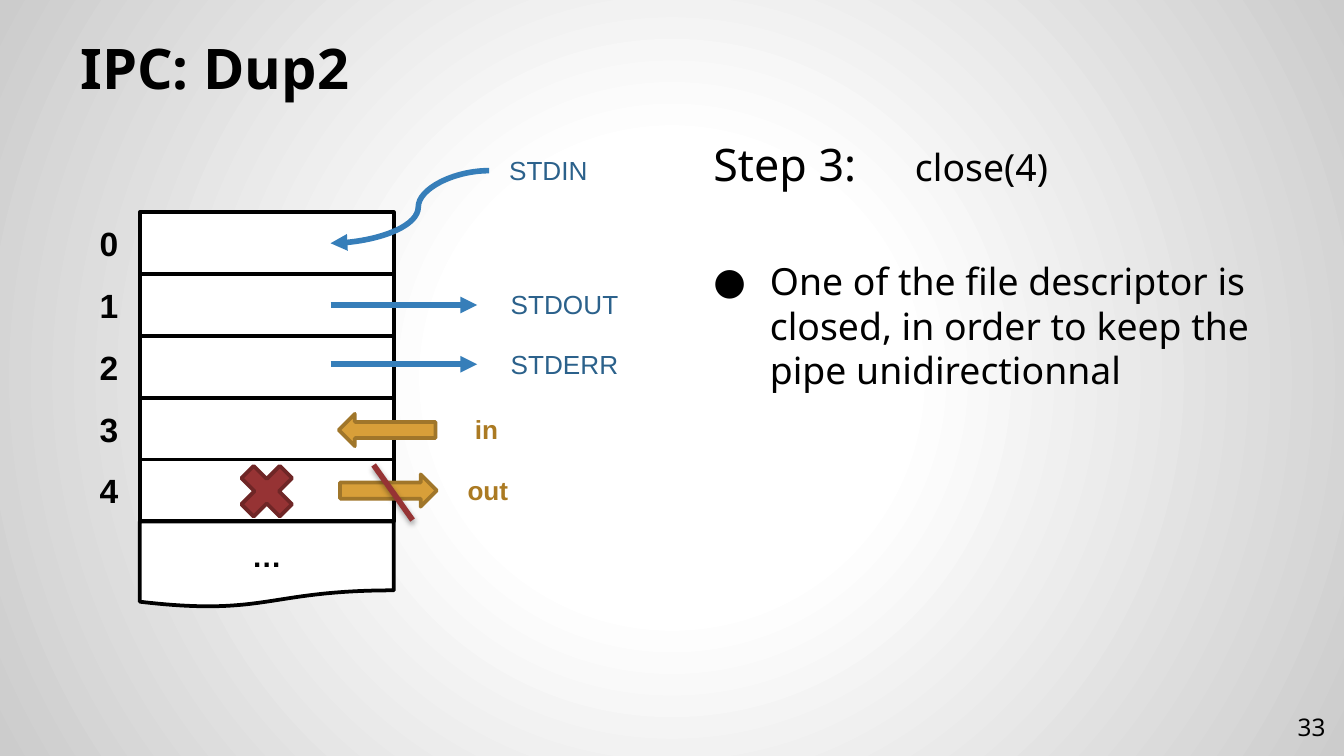
from dataclasses import dataclass

from lxml.etree import SubElement
from pptx import Presentation
from pptx.dml.color import RGBColor
from pptx.enum.shapes import MSO_CONNECTOR, MSO_SHAPE
from pptx.enum.text import MSO_ANCHOR, MSO_AUTO_SIZE, PP_ALIGN
from pptx.oxml import parse_xml
from pptx.oxml.ns import nsdecls, qn
from pptx.util import Inches, Pt

COLORS = {
    "black": "000000", "white": "FFFFFF", "edge": "CCCCCC",
    "blue": "367EB9", "blue_text": "2B618B",
    "gold": "D89F39", "gold_line": "A0762A", "gold_text": "AB7A22",
    "red": "963334", "red_line": "6F2626",
}
PAGE_WIDTH = 10
PAGE_HEIGHT = PAGE_WIDTH * 9 / 16
TABLE_LEFT, TABLE_TOP, TABLE_WIDTH, ROW_HEIGHT = 1.04, 1.58, 1.89, 0.46
DESCRIPTORS = 5
STREAM_LEFT, STREAM_RIGHT = 2.46, 3.55


@dataclass(frozen=True)
class Area:
    left: float
    top: float
    width: float
    height: float

    def lengths(self) -> list:
        return [Inches(value) for value in (self.left, self.top, self.width, self.height)]


@dataclass(frozen=True)
class Label:
    text: str
    center: float
    middle: float
    width: float
    height: float = 0.34
    size: int = 14
    color: str = "blue_text"
    bold: bool = False


@dataclass(frozen=True)
class Figure:
    kind: MSO_SHAPE
    area: Area
    fill: str
    line: str
    rotation: int = 0


def row_top(row: int) -> float:
    return TABLE_TOP + row * ROW_HEIGHT


def row_middle(row: int) -> float:
    return row_top(row) + ROW_HEIGHT / 2


def rgb(name: str) -> RGBColor:
    return RGBColor.from_string(COLORS[name])


def style(target, size: int, color: str = "black", bold: bool = False, name: str = "Noto Sans") -> None:
    font = target.font
    font.size, font.bold, font.name = Pt(size), bold, name
    font.color.rgb = rgb(color)


def add_text_box(page, area: Area, anchor=MSO_ANCHOR.TOP, inset: float = 0.1):
    box = page.shapes.add_textbox(*area.lengths())
    frame = box.text_frame
    frame.word_wrap, frame.vertical_anchor = True, anchor
    frame.margin_top = frame.margin_bottom = Inches(inset)
    return box


def add_label(page, label: Label):
    area = Area(label.center - label.width / 2, label.middle - label.height / 2, label.width, label.height)
    box = add_text_box(page, area, inset=0.05)
    box.text_frame.auto_size = MSO_AUTO_SIZE.SHAPE_TO_FIT_TEXT
    para = box.text_frame.paragraphs[0]
    para.text, para.alignment = label.text, PP_ALIGN.CENTER
    style(para, label.size, label.color, label.bold, "Arial")
    return box


def add_figure(page, figure: Figure):
    shape = page.shapes.add_shape(figure.kind, *figure.area.lengths())
    shape.shadow.inherit = False
    shape.rotation = figure.rotation
    shape.fill.solid()
    shape.fill.fore_color.rgb = rgb(figure.fill)
    shape.line.color.rgb, shape.line.width = rgb(figure.line), Pt(2)
    return shape


def add_line(page, start: tuple, end: tuple, color: str, kind=MSO_CONNECTOR.STRAIGHT, arrow: bool = True):
    line = page.shapes.add_connector(kind, *(Inches(value) for value in start + end))
    line.line.color.rgb, line.line.width = rgb(color), Pt(3)
    if arrow:
        SubElement(line.line._get_or_add_ln(), qn("a:tailEnd"), type="triangle")
    SubElement(line._element.spPr, qn("a:effectLst"))
    return line


def paint_background(page) -> None:
    page.background.fill.solid()
    properties = page._element.find(".//" + qn("p:bgPr"))
    stops = "".join(
        f'<a:gs pos="{position}"><a:srgbClr val="{COLORS[name]}"/></a:gs>'
        for position, name in ((0, "white"), (30000, "white"), (100000, "edge"))
    )
    properties.replace(properties[0], parse_xml(
        f'<a:gradFill {nsdecls("a")}><a:gsLst>{stops}</a:gsLst><a:path path="circle">'
        '<a:fillToRect l="50000" t="50000" r="50000" b="50000"/></a:path></a:gradFill>'
    ))


def add_page_text(page) -> None:
    title = add_text_box(page, Area(0.5, 0.23, 9, 0.62), MSO_ANCHOR.BOTTOM).text_frame.paragraphs[0]
    title.text = "IPC: Dup2"
    style(title, 30, bold=True)

    frame = add_text_box(page, Area(5.13, 0.92, 4.37, 4.47)).text_frame
    step = frame.paragraphs[0]
    properties = step._p.get_or_add_pPr()
    properties.set("marL", str(Inches(0.08)))
    properties.set("indent", "0")
    SubElement(SubElement(properties, qn("a:tabLst")), qn("a:tab"), pos=str(Inches(2.08)), algn="l")
    for text, size in (("Step 3:\t", 24), ("close(4)", 20)):
        span = step.add_run()
        span.text = text
        style(span, size)

    reason = frame.add_paragraph()
    reason.text = "One of the file descriptor is closed, in order to keep the pipe unidirectionnal"
    reason.space_before = Pt(36)
    properties = reason._p.get_or_add_pPr()
    properties.set("marL", str(Inches(0.5)))
    properties.set("indent", str(Inches(-0.42)))
    SubElement(SubElement(properties, qn("a:buClr")), qn("a:srgbClr"), val=COLORS["black"])
    SubElement(properties, qn("a:buSzPct"), val="100000")
    SubElement(properties, qn("a:buFont"), typeface="Noto Sans")
    SubElement(properties, qn("a:buChar"), char="●")
    style(reason, 20)

    number = add_text_box(page, Area(9.36, 5.19, 0.6, 0.43), MSO_ANCHOR.MIDDLE).text_frame.paragraphs[0]
    number.text, number.alignment = "33", PP_ALIGN.RIGHT
    style(number, 13)


def add_descriptor_table(page) -> None:
    for row in range(DESCRIPTORS):
        area = Area(TABLE_LEFT, row_top(row), TABLE_WIDTH, ROW_HEIGHT)
        add_figure(page, Figure(MSO_SHAPE.RECTANGLE, area, "white", "black"))
        add_label(page, Label(str(row), 0.81, row_middle(row), 0.45, 0.4, 18, "black", True))
    area = Area(TABLE_LEFT, row_top(DESCRIPTORS), TABLE_WIDTH, 0.64)
    rest = add_figure(page, Figure(MSO_SHAPE.FLOWCHART_DOCUMENT, area, "white", "black"))
    rest.text_frame.vertical_anchor = MSO_ANCHOR.MIDDLE
    para = rest.text_frame.paragraphs[0]
    para.text, para.alignment = "…", PP_ALIGN.CENTER
    style(para, 16, bold=True, name="Arial")


def add_streams(page) -> None:
    stdin = add_label(page, Label("STDIN", 4.08, 1.27, 0.88))
    curve = add_line(page, (3.64, 1.27), (STREAM_LEFT, row_middle(0)), "blue", MSO_CONNECTOR.CURVE)
    curve.begin_connect(stdin, 1)
    guides = curve._element.spPr.find(qn("a:prstGeom")).get_or_add_avLst()
    SubElement(guides, qn("a:gd"), name="adj1", fmla="val 44700")
    for name, middle in (("STDOUT", 2.27), ("STDERR", 2.71)):
        add_label(page, Label(name, 4.2, middle, 1.02))
        add_line(page, (STREAM_LEFT, middle), (STREAM_RIGHT, middle), "blue")


def add_pipe(page) -> None:
    for name, left, middle, rotation in (("in", 2.52, 3.2, 0), ("out", 2.53, 3.65, 180)):
        area = Area(left, middle - 0.12, 0.72, 0.24)
        add_figure(page, Figure(MSO_SHAPE.LEFT_ARROW, area, "gold", "gold_line", rotation))
        add_label(page, Label(name, left + 1.1, middle, 0.75, color="gold_text", bold=True))
    add_figure(page, Figure(MSO_SHAPE.MATH_MULTIPLY, Area(1.71, 3.38, 0.55, 0.55), "red", "red_line"))
    slash = add_line(page, (2.78, 3.46), (3.07, 3.87), "red", arrow=False)
    effects = slash._element.spPr.find(qn("a:effectLst"))
    shadow = SubElement(effects, qn("a:outerShdw"), blurRad=str(Pt(3.1)), dist=str(Pt(1.6)), dir="5400000")
    tint = SubElement(shadow, qn("a:srgbClr"), val=COLORS["black"])
    SubElement(tint, qn("a:alpha"), val="38000")


def main() -> None:
    """Build the slide about closing one end of a pipe after dup2."""
    deck = Presentation()
    deck.slide_width, deck.slide_height = Inches(PAGE_WIDTH), Inches(PAGE_HEIGHT)
    page = deck.slides.add_slide(deck.slide_layouts[6])
    paint_background(page)
    add_page_text(page)
    add_descriptor_table(page)
    add_streams(page)
    add_pipe(page)
    deck.save("out.pptx")


if __name__ == "__main__":
    main()
